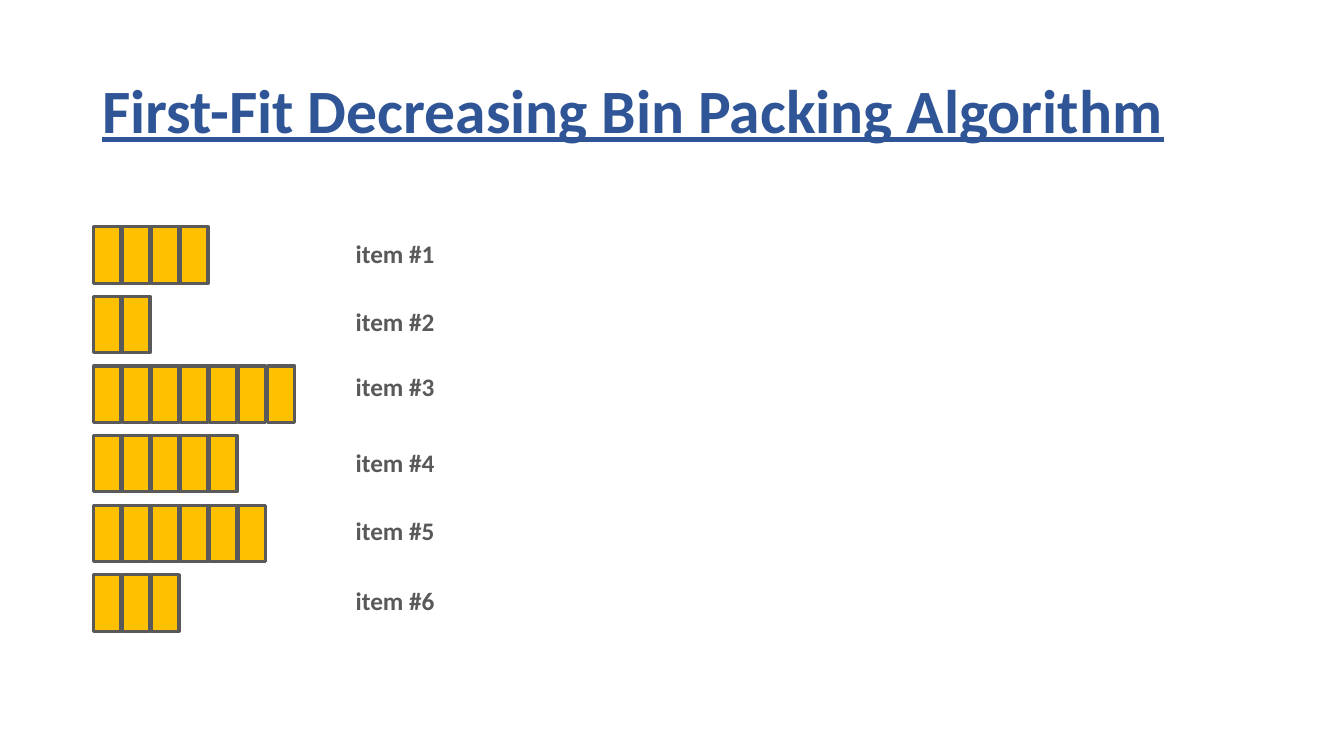
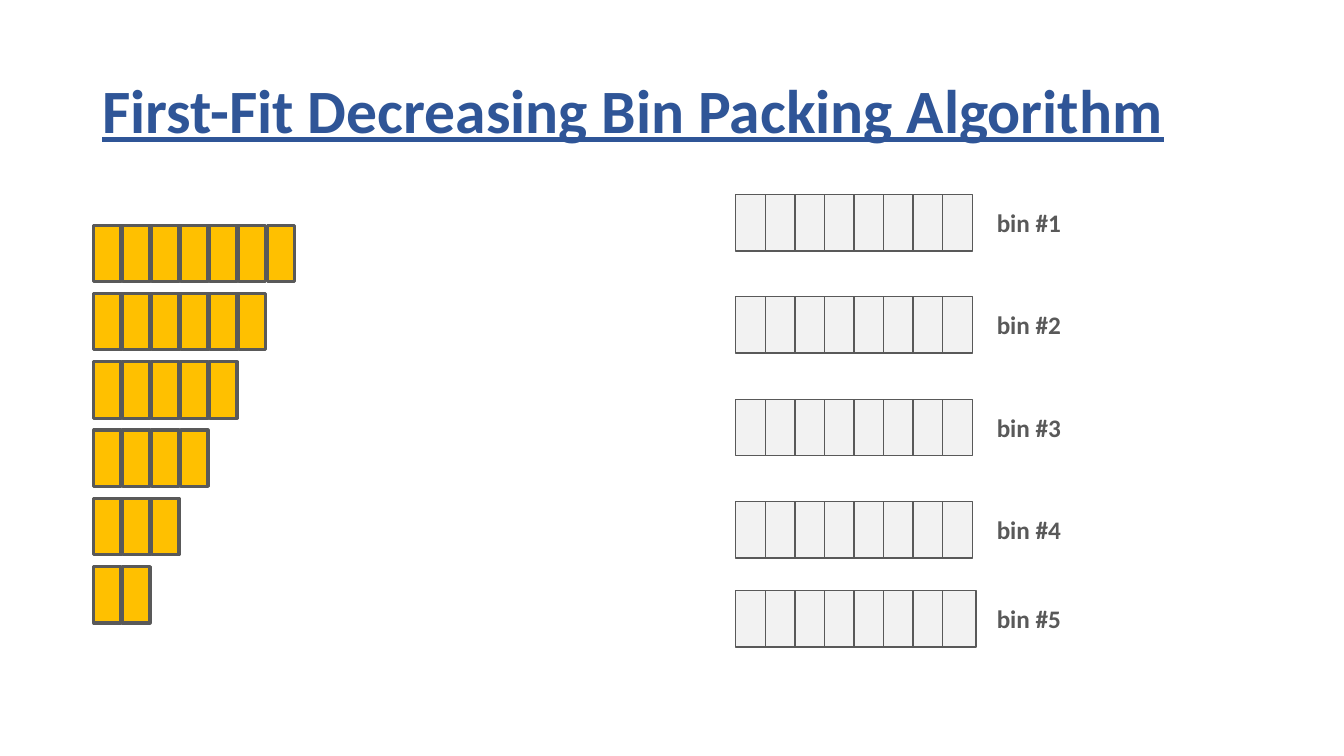
"""Build two slides on first-fit decreasing bin packing."""
import pptx
import pptx.util
import pptx.dml.color
import pptx.enum.shapes
import pptx.enum.text

Pt = pptx.util.Pt
RGB = pptx.dml.color.RGBColor.from_string
COLORS = {"title": "2F5597", "item": "FFC000", "bin": "F2F2F2", "ink": "595959"}
CELL_HEIGHT = 40.3
ITEM_LEFT, ITEM_PITCH, ITEM_CELL = 67, 20.7, 19.5
BIN_LEFT, BIN_PITCH, BIN_CELL, BIN_SIZE = 525.6, 21.1, 21.6, 8


def add_cells(slide, count, left, top, pitch, width, fill, outline):
    for index in range(count):
        cell = slide.shapes.add_shape(
            pptx.enum.shapes.MSO_SHAPE.RECTANGLE,
            Pt(left + index * pitch), Pt(top), Pt(width), Pt(CELL_HEIGHT))
        cell.shadow.inherit = False
        cell.fill.solid()
        cell.fill.fore_color.rgb = RGB(COLORS[fill])
        cell.line.color.rgb = RGB(COLORS["ink"])
        cell.line.width = Pt(outline)


def add_label(slide, text, left, top, width):
    label = slide.shapes.add_textbox(Pt(left), Pt(top), Pt(width), Pt(29))
    label.text_frame.text = text
    label.text_frame.word_wrap = False
    label.text_frame.auto_size = pptx.enum.text.MSO_AUTO_SIZE.SHAPE_TO_FIT_TEXT
    font = label.text_frame.paragraphs[0].runs[0].font
    font.name, font.size, font.bold = "Calibri", Pt(18), True
    font.color.rgb = RGB(COLORS["ink"])


deck = pptx.Presentation()
deck.slide_width, deck.slide_height = Pt(960), Pt(540)

stages = [
    ([4, 2, 7, 5, 6, 3], 162, 49.7),
    ([7, 6, 5, 4, 3, 2], 160.8, 48.8),
]
for item_sizes, first_top, row_pitch in stages:
    slide = deck.slides.add_slide(deck.slide_layouts[5])
    heading = slide.shapes.title
    heading.left, heading.top = Pt(66), Pt(28.8)
    heading.width, heading.height = Pt(828), Pt(104.4)
    heading.text_frame.text = "First-Fit Decreasing Bin Packing Algorithm"
    heading.text_frame.word_wrap = True
    heading.text_frame.auto_size = pptx.enum.text.MSO_AUTO_SIZE.NONE
    heading.text_frame.vertical_anchor = pptx.enum.text.MSO_ANCHOR.MIDDLE
    heading_line = heading.text_frame.paragraphs[0]
    heading_line.alignment = pptx.enum.text.PP_ALIGN.LEFT
    heading_line.line_spacing = 0.9
    font = heading_line.runs[0].font
    font.name, font.size, font.bold, font.underline = "Calibri", Pt(44), True, True
    font.color.rgb = RGB(COLORS["title"])

    for row, size in enumerate(item_sizes):
        add_cells(slide, size, ITEM_LEFT, first_top + row * row_pitch,
                  ITEM_PITCH, ITEM_CELL, "item", 2.25)

items_slide, bins_slide = deck.slides

for number, top in enumerate([167, 215.3, 261.4, 316.1, 364.3, 414.7], start=1):
    add_label(items_slide, f"item #{number}", 247, top, 71.3)

for number, top in enumerate([139, 211.8, 285.2, 358.4, 422], start=1):
    cell_width = 23.8 if number == 5 else BIN_CELL
    add_cells(bins_slide, BIN_SIZE, BIN_LEFT, top, BIN_PITCH, cell_width, "bin", 1)
    add_label(bins_slide, f"bin #{number}", 704.9, top + 5.5, 61.2)

deck.save("out.pptx")
